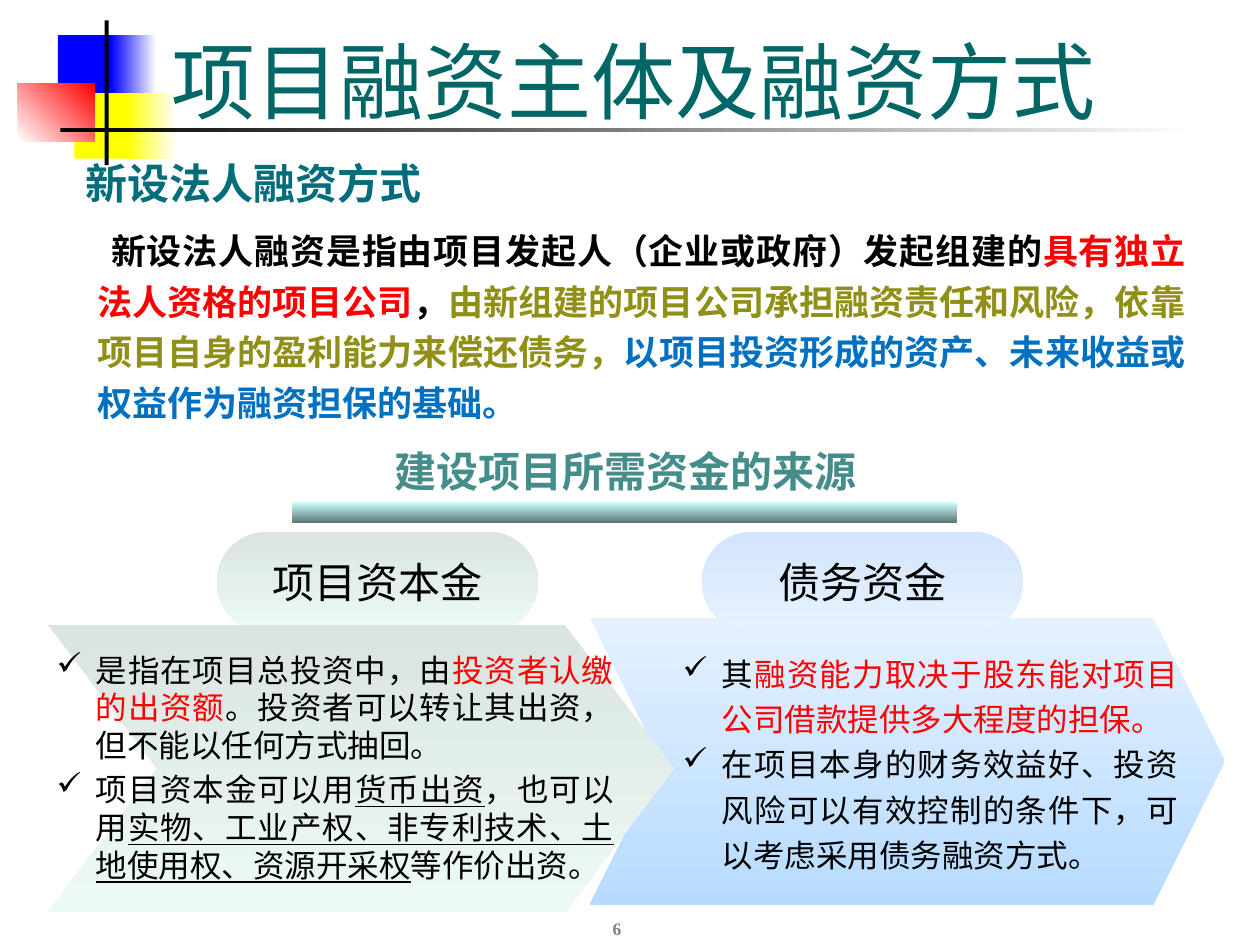
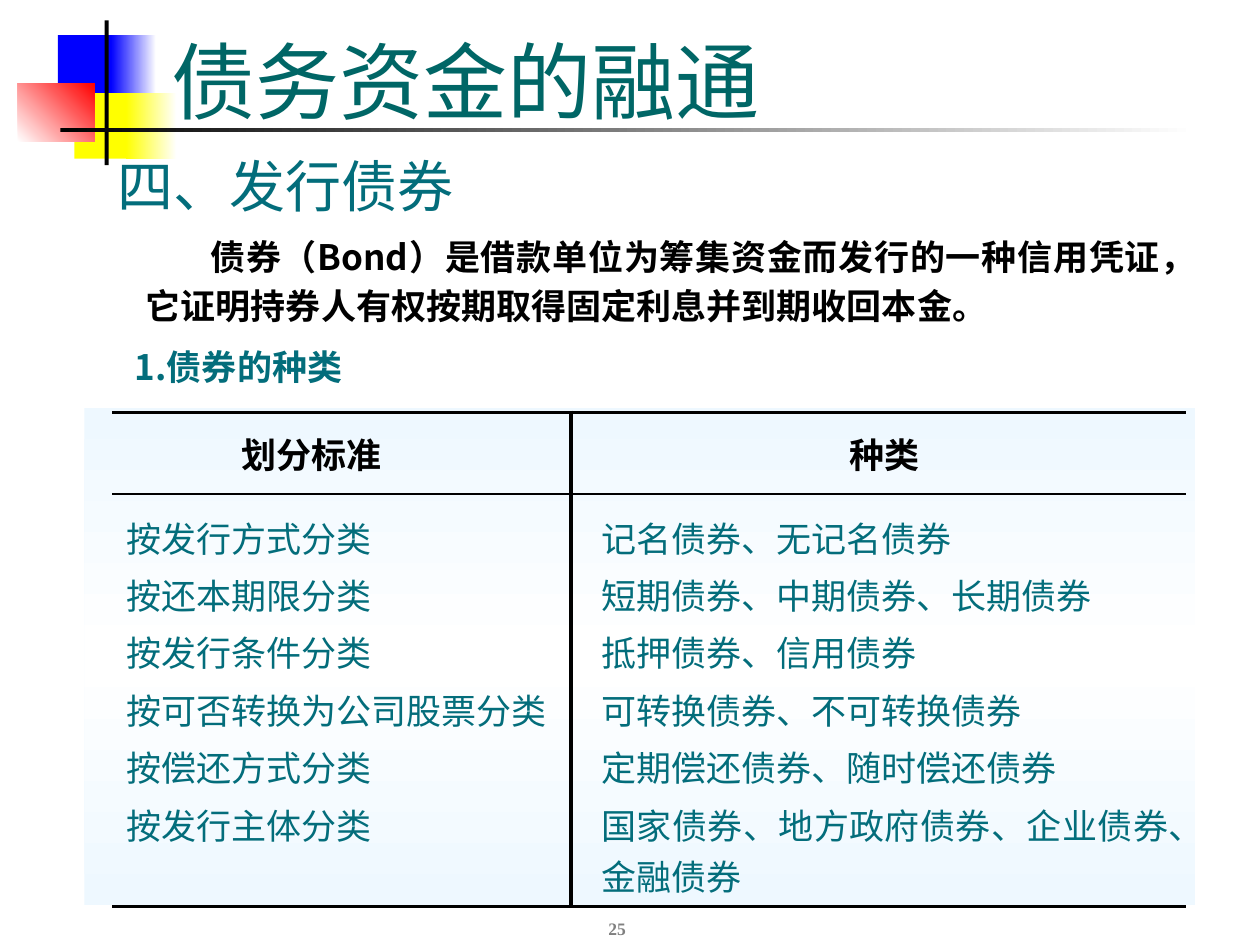
"""Builds two slides on project financing: funding sources and bond types."""
from copy import deepcopy
from dataclasses import dataclass

from lxml import etree
from pptx import Presentation
from pptx.dml.color import RGBColor
from pptx.enum.shapes import MSO_SHAPE
from pptx.enum.text import MSO_ANCHOR, MSO_AUTO_SIZE, PP_ALIGN
from pptx.oxml.ns import qn
from pptx.util import Cm, Pt

RECT, CHEVRON, PILL = MSO_SHAPE.RECTANGLE, MSO_SHAPE.CHEVRON, MSO_SHAPE.ROUNDED_RECTANGLE
TOP, MIDDLE, BOTTOM = MSO_ANCHOR.TOP, MSO_ANCHOR.MIDDLE, MSO_ANCHOR.BOTTOM
LEFT, CENTER, JUSTIFY = PP_ALIGN.LEFT, PP_ALIGN.CENTER, PP_ALIGN.JUSTIFY
FIXED = MSO_AUTO_SIZE.NONE


@dataclass(frozen=True)
class Theme:
    """Colours, fonts and type sizes of the deck."""
    sans: str = "Noto Sans CJK SC"
    serif: str = "Times New Roman"
    black: str = "000000"
    white: str = "FFFFFF"
    blue: str = "0000FF"
    yellow: str = "FFFF00"
    red: str = "FF0000"
    title: str = "006666"
    teal: str = "036D7B"
    headline: str = "458D8B"
    olive: str = "908F17"
    azure: str = "0070C0"
    grey: str = "808080"
    bar: tuple = ("CCFFFF", "5E7676")
    mint: tuple = ("DAE5E1", "EDF9F4")
    sky_pill: tuple = ("D3E6FD", "E6F1FE")
    sky: tuple = ("E4F1FF", "B7DBFF")
    table: tuple = ("EEF8FF", "FFFFFF", "EEF8FF")
    title_size: int = 48
    section_size: int = 32
    heading_size: int = 24
    body_size: int = 20
    list_size: int = 18
    number_size: int = 10


T = Theme()
RED, UNDERLINED = {"color": T.red}, {"underline": True}

ORNAMENT = [
    ((1.17, 0.71, 1.22, 1.32), T.blue, 0),
    ((2.24, 0.71, 0.91, 1.32), (T.blue, T.white), 0),
    ((1.5, 1.88, 1.17, 1.32), T.yellow, 0),
    ((2.54, 1.88, 1.02, 1.32), (T.yellow, T.white), 0),
    ((0.36, 1.68, 1.55, 1.17), (T.white, T.red), 315),
    ((2.11, 0.41, 0.08, 2.92), T.black, 0),
    ((1.22, 2.59, 22.86, 0.08), (T.black, T.white), 0),
]

FINANCING = {
    "title": "项目融资主体及融资方式",
    "number": "6",
    "section": "新设法人融资方式",
    "definition": [
        "新设法人融资是指由项目发起人（企业或政府）发起组建的",
        ("具有独立法人资格的项目公司", RED),
        "，",
        ("由新组建的项目公司承担融资责任和风险，依靠项目自身的盈利能力来偿还债务，", {"color": T.olive}),
        ("以项目投资形成的资产、未来收益或权益作为融资担保的基础。", {"color": T.azure}),
    ],
    "headline": "建设项目所需资金的来源",
    "capital": "项目资本金",
    "capital_points": [
        ["是指在项目总投资中，由", ("投资者认缴的出资额", RED),
         "。投资者可以转让其出资，但不能以任何方式抽回。"],
        ["项目资本金可以用", ("货币出资", UNDERLINED), "，也可以用",
         ("实物、工业产权、非专利技术、土地使用权、资源开采权", UNDERLINED), "等作价出资。"],
    ],
    "debt": "债务资金",
    "debt_points": [
        ["其", ("融资能力取决于股东能对项目公司借款提供多大程度的担保。", RED)],
        ["在项目本身的财务效益好、投资风险可以有效控制的条件下，可以考虑采用债务融资方式。"],
    ],
}

BONDS = {
    "title": "债务资金的融通",
    "number": "25",
    "section": "四、发行债券",
    "definition": "债券（Bond）是借款单位为筹集资金而发行的一种信用凭证，它证明持券人有权按期取得固定利息并到期收回本金。",
    "subsection": "1.债券的种类",
    "header": ("划分标准", "种类"),
    "kinds": [
        ("按发行方式分类", "记名债券、无记名债券"),
        ("按还本期限分类", "短期债券、中期债券、长期债券"),
        ("按发行条件分类", "抵押债券、信用债券"),
        ("按可否转换为公司股票分类", "可转换债券、不可转换债券"),
        ("按偿还方式分类", "定期偿还债券、随时偿还债券"),
        ("按发行主体分类", "国家债券、地方政府债券、企业债券、金融债券"),
    ],
}


def write(frame, paragraphs, size=T.body_size, color=T.black, font=T.sans, bold=False, align=LEFT,
          anchor=TOP, spacing=1.0, before=0.0, margin=0.0, indent=0.0, bullet=None):
    """Fill a text frame; a paragraph is a string or a list of runs."""
    frame.word_wrap, frame.vertical_anchor = True, anchor
    for index, content in enumerate(paragraphs):
        paragraph = frame.paragraphs[0] if index == 0 else frame.add_paragraph()
        properties = paragraph._p.get_or_add_pPr()
        properties.set("marL", str(Cm(margin)))
        properties.set("indent", str(Cm(indent)))
        if bullet:
            etree.SubElement(properties, qn("a:buChar")).set("char", bullet)
        paragraph.alignment, paragraph.line_spacing = align, spacing
        if index:
            paragraph.space_before = Pt(before * size)
        for part in [content] if isinstance(content, str) else content:
            text, style = (part, {}) if isinstance(part, str) else part
            run = paragraph.add_run()
            run.text = text
            run.font.size, run.font.name, run.font.bold = Pt(size), font, bold
            run.font.color.rgb = RGBColor.from_string(style.get("color", color))
            if style.get("underline"):
                run.font.underline = True


def add_text(slide, box, paragraphs, **style):
    """Add a text box measured in centimetres."""
    frame = slide.shapes.add_textbox(*map(Cm, box)).text_frame
    write(frame, paragraphs, **style)


def add_block(slide, box, fill, angle=90, kind=RECT, adjustment=None):
    """Add a borderless shape with a plain or clockwise-angled gradient fill."""
    block = slide.shapes.add_shape(kind, *map(Cm, box))
    block.shadow.inherit = False
    block.line.fill.background()
    if adjustment is not None:
        block.adjustments[0] = adjustment
    if isinstance(fill, str):
        block.fill.solid()
        block.fill.fore_color.rgb = RGBColor.from_string(fill)
        return block
    block.fill.gradient()
    block.fill.gradient_angle = -angle % 360
    stops = block._element.spPr.find(".//" + qn("a:gsLst"))
    while len(stops) < len(fill):
        stops.append(deepcopy(stops[-1]))
    for index, (stop, color) in enumerate(zip(block.fill.gradient_stops, fill)):
        stop.color.rgb = RGBColor.from_string(color)
        stops[index].set("pos", str(100000 * index // (len(fill) - 1)))
    return block


def add_ornament(slide):
    """Place the corner ornament and title rule on the slide's layout."""
    layout_tree = slide.slide_layout.shapes._spTree
    for box, fill, angle in ORNAMENT:
        layout_tree.append(add_block(slide, box, fill, angle)._element)


def start_slide(deck, content):
    """Add a slide with its title and page number."""
    slide = deck.slides.add_slide(deck.slide_layouts[5])
    title = slide.shapes.title
    title.left, title.top, title.width, title.height = map(Cm, (3.2, 0.41, 21.64, 2.34))
    title.text_frame.auto_size = FIXED
    write(title.text_frame, [content["title"]], size=T.title_size, color=T.title, font=T.serif,
          anchor=BOTTOM)
    add_text(slide, (9.8, 17.78, 5.28, 1.27), [content["number"]], size=T.number_size, color=T.grey,
             font=T.serif, bold=True, align=CENTER, anchor=BOTTOM)
    return slide


def add_pill(slide, left, name, fill):
    """Add the rounded label of a funding source."""
    pill = add_block(slide, (left, 10.72, 6.48, 2.01), fill, kind=PILL, adjustment=0.5)
    write(pill.text_frame, [name], size=T.heading_size, font=T.serif, align=CENTER, anchor=MIDDLE)


def add_points(slide, box, points, **style):
    """Add the ticked points of a funding source."""
    add_text(slide, box, points, size=T.list_size, font=T.serif, align=JUSTIFY, anchor=MIDDLE,
             margin=0.79, indent=-0.79, bullet="✓", **style)


def build_financing(slide, content):
    """Lay out the definition and the two funding sources."""
    add_text(slide, (1.47, 3.05, 12.6, 1.27), [content["section"]], size=T.heading_size, color=T.teal,
             bold=True, anchor=MIDDLE)
    add_text(slide, (0.76, 4.34, 23.39, 4.32), [content["definition"]], bold=True, align=JUSTIFY,
             spacing=1.2, margin=0.95, indent=0.28)
    add_block(slide, (11.89, 12.45, 12.8, 5.79), T.sky, kind=CHEVRON, adjustment=0.25)
    add_points(slide, (13.51, 12.93, 10.49, 4.8), content["debt_points"], spacing=1.2)
    add_pill(slide, 4.37, content["capital"], T.mint)
    add_block(slide, (0.97, 12.6, 12.62, 5.79), T.mint, kind=CHEVRON, adjustment=0.38)
    add_points(slide, (0.89, 12.8, 11.73, 5.33), content["capital_points"], before=0.2)
    add_text(slide, (7.7, 9.12, 10.59, 0.94), [content["headline"]], size=T.heading_size,
             color=T.headline, bold=True, anchor=MIDDLE, spacing=0.8)
    add_block(slide, (5.89, 10.13, 13.41, 0.41), T.bar)
    add_pill(slide, 14.15, content["debt"], T.sky_pill)


def set_borders(cell, **widths):
    """Draw the given sides (L, R, T, B) in black and hide the others."""
    properties = cell._tc.get_or_add_tcPr()
    for index, side in enumerate("LRTB"):
        border = etree.Element(qn("a:ln" + side))
        if side in widths:
            border.set("w", str(Pt(widths[side])))
            fill = etree.SubElement(border, qn("a:solidFill"))
            etree.SubElement(fill, qn("a:srgbClr")).set("val", T.black)
        else:
            etree.SubElement(border, qn("a:noFill"))
        properties.insert(index, border)


def add_kinds_table(slide, header, kinds):
    """Add the ruled table of bond types."""
    rows = [header, *kinds]
    last = len(rows) - 1
    heights = [1.65, 1.5] + [1.16] * (last - 2) + [2.17]
    widths = (9.25, 12.4)
    table = slide.shapes.add_table(len(rows), 2, Cm(2.26), Cm(8.31), Cm(sum(widths)),
                                   Cm(sum(heights))).table
    table.first_row = table.horz_banding = False
    for column, width in zip(table.columns, widths):
        column.width = Cm(width)
    for r, (row, height) in enumerate(zip(rows, heights)):
        table.rows[r].height = Cm(height)
        for c, text in enumerate(row):
            cell = table.cell(r, c)
            cell.fill.background()
            cell.margin_left = Cm((0.28, 0.61)[c])
            cell.margin_right = Cm((0, 0.35)[c])
            cell.margin_top = Cm(0.35 if r == 1 else 0)
            cell.margin_bottom = 0
            borders = {"LR"[1 - c]: 2}
            if r <= 1:
                borders["T"] = (2.25, 1.5)[r]
            if r in (0, last):
                borders["B"] = 1.5 if r == 0 else 2.25
            set_borders(cell, **borders)
            if r == 0:
                cell.margin_right = Cm((1.5, 0.35)[c])
                write(cell.text_frame, [text], font=T.serif, bold=True, align=CENTER)
                cell.vertical_anchor = MIDDLE
            else:
                write(cell.text_frame, [text], color=T.teal, align=JUSTIFY)
                cell.vertical_anchor = TOP


def build_bonds(slide, content):
    """Lay out the bond definition and the table of bond types."""
    add_text(slide, (2.69, 4.5, 20.96, 2.21), [content["definition"]], bold=True, align=JUSTIFY,
             spacing=1.15, indent=1.3)
    add_text(slide, (2.11, 2.92, 11.23, 1.6), [content["section"]], size=T.section_size, color=T.teal)
    add_text(slide, (2.29, 6.93, 16, 1.02), [content["subsection"]], color=T.teal, bold=True,
             spacing=0.9, margin=0.18)
    add_block(slide, (1.7, 8.23, 22.4, 10.01), T.table)
    add_kinds_table(slide, content["header"], content["kinds"])


def main():
    """Build and save the deck."""
    deck = Presentation()
    deck.slide_width, deck.slide_height = Cm(25.4), Cm(19.05)
    financing = start_slide(deck, FINANCING)
    add_ornament(financing)
    build_financing(financing, FINANCING)
    build_bonds(start_slide(deck, BONDS), BONDS)
    deck.save("out.pptx")


if __name__ == "__main__":
    main()
